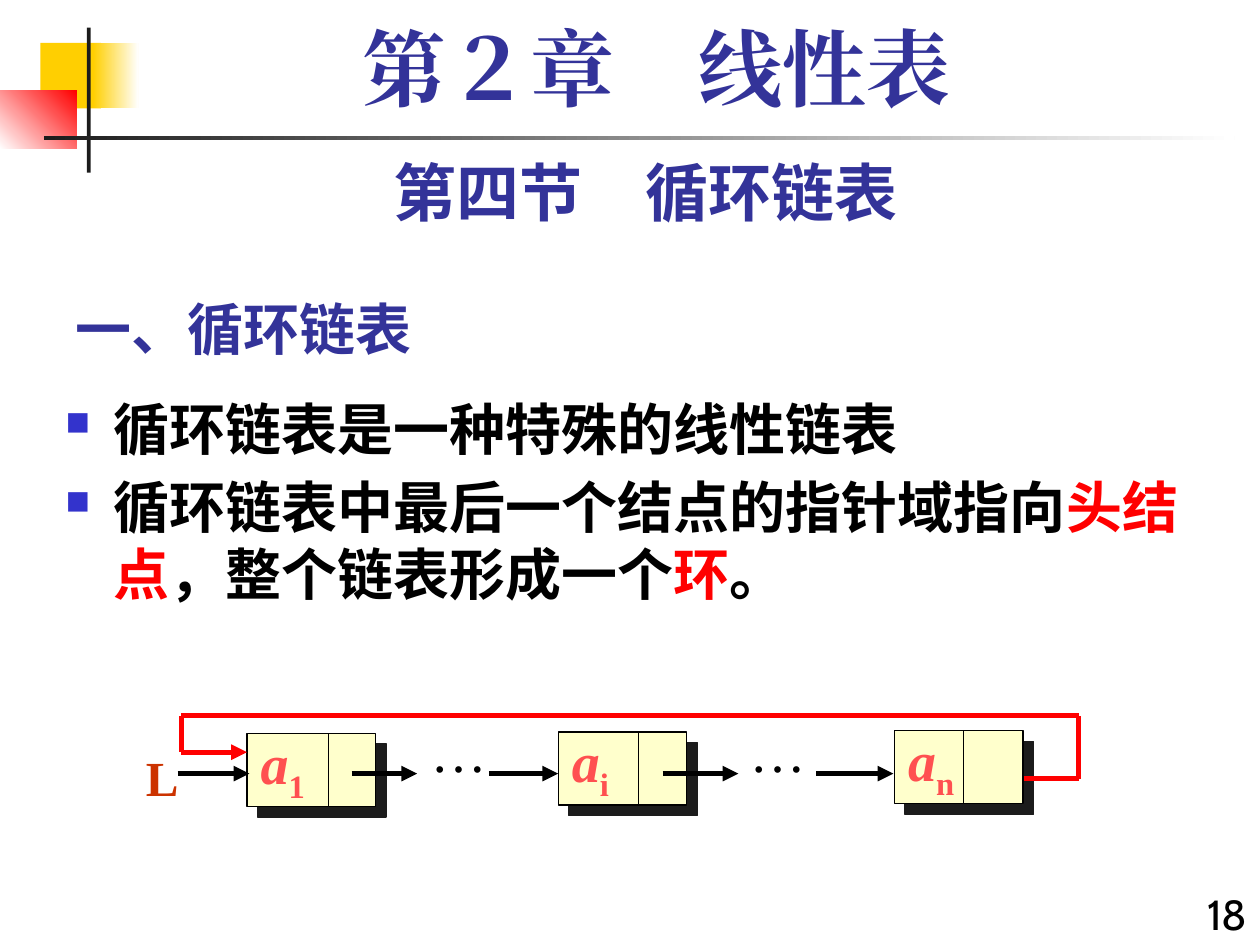
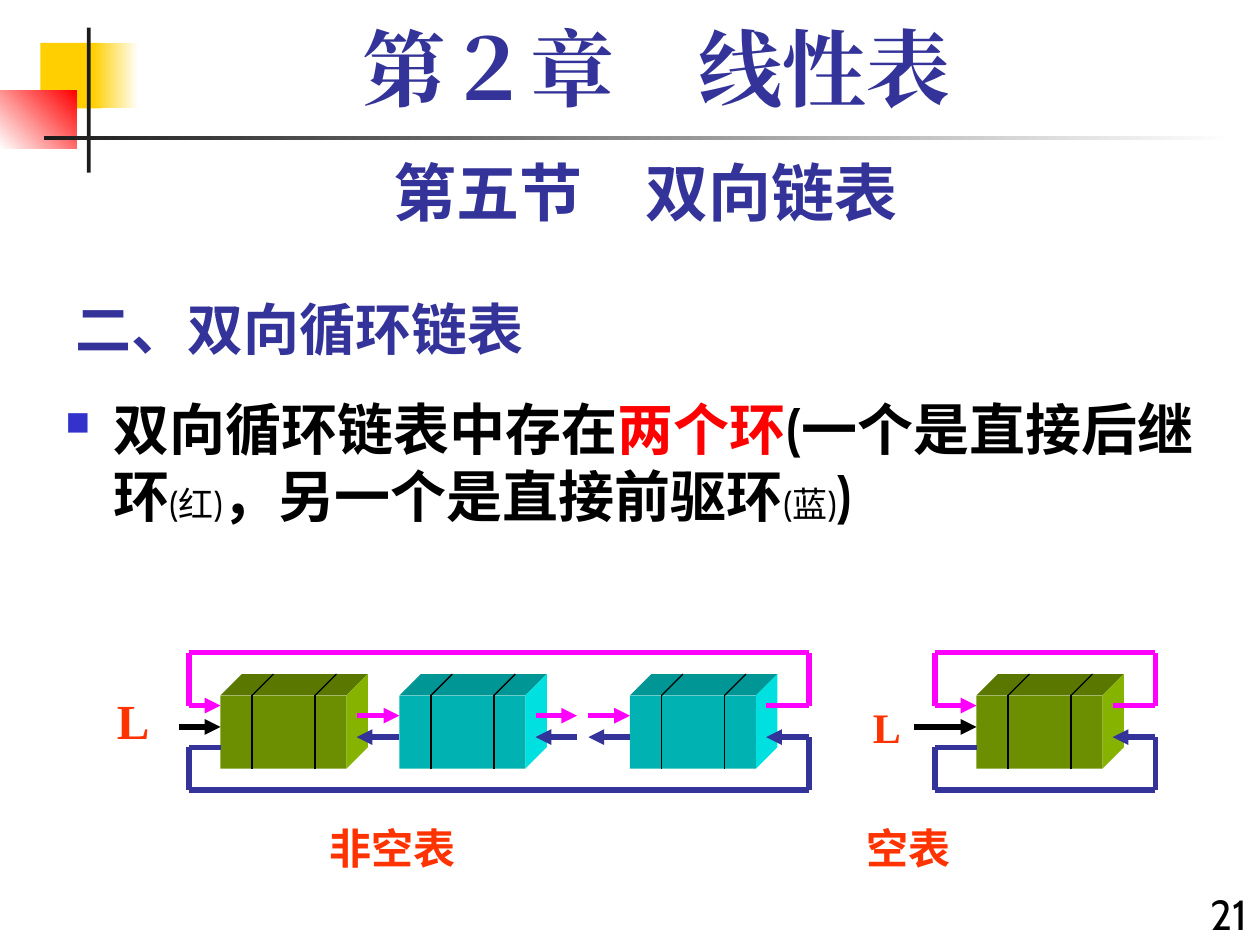
"""Build two lecture slides on circular and doubly linked lists."""
from dataclasses import dataclass
from itertools import pairwise
from typing import NamedTuple

from lxml.etree import SubElement
from pptx import Presentation
from pptx.dml.color import RGBColor
from pptx.enum.shapes import MSO_CONNECTOR as Connector, MSO_SHAPE as Shape
from pptx.enum.text import MSO_ANCHOR as Anchor, PP_ALIGN as Align
from pptx.oxml.ns import qn
from pptx.util import Inches, Pt


@dataclass(frozen=True)
class Theme:
    indigo: str = "333399"
    ink: str = "1C1C1C"
    black: str = "000000"
    white: str = "FFFFFF"
    gold: str = "FFCF01"
    red: str = "FF0000"
    bullet: str = "3333CC"
    cell: str = "FFFFCC"
    symbol: str = "FF5050"
    brick: str = "CC3300"
    orange: str = "FF3300"
    magenta: str = "FF00FF"
    sans: str = "Cabin"
    cjk: str = "Noto Sans CJK SC"
    serif: str = "Times New Roman"
    chapter: int = 48
    section: int = 36
    body: int = 32
    pointer: int = 28
    small: int = 24
    note: int = 20
    thin: float = 0.75
    thick: float = 3


THEME = Theme()


class Box(NamedTuple):
    left: float
    top: float
    width: float
    height: float


class Span(NamedTuple):
    text: str
    size: int = THEME.body
    color: str = THEME.black
    font: str = THEME.sans
    bold: bool = True
    italic: bool = False
    baseline: int = 0


class Band(NamedTuple):
    box: Box
    start: str
    end: str = ""
    angle: int = 0


class Node(NamedTuple):
    left: float
    top: float
    split: float
    index: str


class CubeColors(NamedTuple):
    front: str
    top: str
    side: str


class Cube(NamedTuple):
    left: float
    colors: CubeColors


class Ring(NamedTuple):
    left: float
    head: float
    tail: float
    right: float


Point = tuple[float, float]

BANDS = [
    Band(Box(0.32, 0.34, 0.48, 0.52), THEME.gold),
    Band(Box(0.74, 0.34, 0.36, 0.52), THEME.gold, THEME.white),
    Band(Box(0, 0.72, 0.61, 0.46), THEME.white, THEME.red, 45),
    Band(Box(0.69, 0.22, 0.03, 1.15), THEME.ink),
    Band(Box(0.35, 1.08, 9.45, 0.03), THEME.ink, THEME.white),
]
NODES = [Node(1.96, 5.82, 0.65, "1"), Node(4.43, 5.81, 0.64, "i"), Node(7.1, 5.8, 0.55, "n")]
GREEN = CubeColors("6B8F00", "5A7800", "86B300")
CYAN = CubeColors("00B3B3", "009696", "00E0E0")
CUBES = [Cube(1.75, GREEN), Cube(3.17, CYAN), Cube(5, CYAN), Cube(7.75, GREEN)]
RINGS = [Ring(1.5, 1.75, 6.08, 6.42), Ring(7.42, 7.75, 8.83, 9.17)]
CUBE_TOP, CUBE_WIDTH, CUBE_HEIGHT, DEPTH = 5.52, 1, 0.58, 0.17


def rgb(color: str) -> RGBColor:
    """Turn a hex string into a colour."""
    return RGBColor.from_string(color)


def add_spans(paragraph, spans: list[Span]) -> None:
    """Add formatted runs to a paragraph."""
    for span in spans:
        run = paragraph.add_run()
        run.text = span.text
        formats = {"size": Pt(span.size), "bold": span.bold, "italic": span.italic, "name": span.font}
        for name, value in formats.items():
            setattr(run.font, name, value)
        run.font.color.rgb = rgb(span.color)
        properties = run._r.get_or_add_rPr()
        properties.set("lang", "zh-CN")
        if span.baseline:
            properties.set("baseline", str(span.baseline))
        SubElement(properties, qn("a:ea"), typeface=span.font)


def add_text(slide, box: Box, spans: list[Span], align=Align.LEFT, wrap=True, anchor=Anchor.TOP):
    """Place a one-paragraph text box and return its frame."""
    frame = slide.shapes.add_textbox(*map(Inches, box)).text_frame
    for name, value in {"word_wrap": wrap, "vertical_anchor": anchor}.items():
        setattr(frame, name, value)
    frame.paragraphs[0].alignment = align
    add_spans(frame.paragraphs[0], spans)
    return frame


def add_bullets(slide, box: Box, items: list[list[Span]]) -> None:
    """Place a bulleted list with square marks."""
    frame = slide.shapes.add_textbox(*map(Inches, box)).text_frame
    frame.word_wrap = True
    for number, spans in enumerate(items):
        paragraph = frame.add_paragraph() if number else frame.paragraphs[0]
        if number:
            paragraph.space_before = Pt(0.2 * THEME.body)
        properties = paragraph._p.get_or_add_pPr()
        properties.set("marL", str(Inches(0.38)))
        properties.set("indent", str(-Inches(0.38)))
        SubElement(SubElement(properties, qn("a:buClr")), qn("a:srgbClr"), val=THEME.bullet)
        SubElement(properties, qn("a:buSzPct"), val="60000")
        SubElement(properties, qn("a:buChar"), char="■")
        add_spans(paragraph, spans)


def paint(shape, color: str) -> None:
    """Give a shape a flat fill without line or shadow."""
    shape.shadow.inherit = False
    shape.fill.solid()
    shape.fill.fore_color.rgb = rgb(color)
    shape.line.fill.background()


def add_rect(slide, box: Box, color: str):
    """Draw a flat rectangle."""
    rect = slide.shapes.add_shape(Shape.RECTANGLE, *map(Inches, box))
    paint(rect, color)
    return rect


def add_band(slide, band: Band) -> None:
    """Draw one header band, flat or fading."""
    rect = add_rect(slide, band.box, band.start)
    if band.end:
        rect.fill.gradient()
        rect.fill.gradient_angle = band.angle
        for stop, color in zip(rect.fill.gradient_stops, (band.start, band.end)):
            stop.color.rgb = rgb(color)


def add_route(slide, points: list[Point], color=THEME.black, width=THEME.thick, arrow=True) -> None:
    """Link points with straight lines, with an arrowhead at the last."""
    for start, end in pairwise(points):
        link = slide.shapes.add_connector(Connector.STRAIGHT, *map(Inches, start + end))
        link.line.color.rgb = rgb(color)
        link.line.width = Pt(width)
        if arrow and end == points[-1]:
            SubElement(link.line._get_or_add_ln(), qn("a:tailEnd"), type="triangle")
        SubElement(link._element.spPr, qn("a:effectLst"))


def add_face(slide, corners: list[Point], color: str) -> None:
    """Draw one slanted cube face."""
    points = [tuple(map(Inches, corner)) for corner in corners]
    builder = slide.shapes.build_freeform(*points[0])
    builder.add_line_segments(points[1:])
    paint(builder.convert_to_shape(), color)


def add_node(slide, node: Node) -> None:
    """Draw a list node with its data and pointer fields."""
    rect = add_rect(slide, Box(node.left, node.top, 1.02, 0.58), THEME.cell)
    rect.line.color.rgb = rgb(THEME.black)
    rect.line.width = Pt(THEME.thin)
    effects = rect._element.spPr.find(qn("a:effectLst"))
    shadow = SubElement(effects, qn("a:outerShdw"), dist=str(Pt(8.5)), dir="2700000", algn="ctr", rotWithShape="0")
    SubElement(shadow, qn("a:srgbClr"), val=THEME.ink)
    split = node.left + node.split
    add_route(slide, [(split, node.top), (split, node.top + 0.58)], width=THEME.thin, arrow=False)
    label = Span("a", color=THEME.symbol, font=THEME.serif, italic=True)
    index = label._replace(text=node.index, italic=False, baseline=-25000)
    add_text(slide, Box(node.left + 0.01, node.top - 0.09, 0.57, 0.63), [label, index], wrap=False)


def add_cube(slide, cube: Cube) -> None:
    """Draw a three-field node as a solid block."""
    left, right = cube.left, cube.left + CUBE_WIDTH
    top, bottom, back = CUBE_TOP, CUBE_TOP + CUBE_HEIGHT, CUBE_TOP - DEPTH
    add_face(slide, [(left, top), (left + DEPTH, back), (right + DEPTH, back), (right, top)], cube.colors.top)
    add_face(slide, [(right, top), (right + DEPTH, back), (right + DEPTH, bottom - DEPTH), (right, bottom)],
             cube.colors.side)
    add_rect(slide, Box(left, top, CUBE_WIDTH, CUBE_HEIGHT), cube.colors.front)
    for split in (left + 0.25, left + 0.75):
        add_route(slide, [(split, bottom), (split, top), (split + DEPTH, back)], width=THEME.thin, arrow=False)


def add_ring(slide, ring: Ring) -> None:
    """Draw the successor ring above and the predecessor ring below."""
    left, head, tail, right = ring
    add_route(slide, [(head, 5.93), (left, 5.93), (left, 6.27), (right, 6.27), (right, 5.85), (tail, 5.85)],
              THEME.indigo)
    add_route(slide, [(tail, 5.6), (right, 5.6), (right, 5.18), (left, 5.18), (left, 5.6), (head, 5.6)],
              THEME.magenta)


def add_pointer(slide, left: float, top: float, size: int, color: str) -> None:
    """Write the head pointer's name."""
    add_text(slide, Box(left, top, 0.44, 0.55), [Span("L", size, color, THEME.serif)], wrap=False)


def start_slide(deck, section: str, heading: str, number: str):
    """Add a slide with the shared bands, titles and page number."""
    slide = deck.slides.add_slide(deck.slide_layouts[6])
    for band in BANDS:
        add_band(slide, band)
    add_text(slide, Box(0.5, 2.17, 6.25, 0.75), [Span(heading, color=THEME.indigo, font=THEME.cjk)],
             anchor=Anchor.BOTTOM)
    add_text(slide, Box(9.33, 7, 0.67, 0.5), [Span(number, THEME.small, bold=False)], Align.RIGHT)
    add_text(slide, Box(0.5, 1.17, 9.25, 0.7), [Span(section, THEME.section, THEME.indigo)], Align.CENTER)
    chapter = add_text(slide, Box(0.67, 0.17, 9.08, 0.83),
                       [Span("第２章　线性表", THEME.chapter, THEME.indigo, THEME.serif)], Align.CENTER)
    chapter.paragraphs[0].line_spacing = 0.9
    return slide


def build_circular(deck) -> None:
    """Build the slide on circular linked lists."""
    slide = start_slide(deck, "第四节　循环链表", "一、循环链表", "18")
    add_bullets(slide, Box(0.42, 3.08, 9.27, 4.25), [
        [Span("循环链表是一种特殊的线性链表")],
        [Span("循环链表中最后一个结点的指针域指向"), Span("头结点", color=THEME.red),
         Span("，整个链表形成一个"), Span("环", color=THEME.red), Span("。")],
    ])
    for node in NODES:
        add_node(slide, node)
    for start, end in [(1.41, 1.98), (2.79, 3.31), (3.88, 4.43), (5.26, 5.86), (6.48, 7.09)]:
        add_route(slide, [(start, 6.14), (end, 6.14)])
    add_pointer(slide, 1.06, 5.88, THEME.pointer, THEME.brick)
    for left in (3.32, 5.85):
        add_text(slide, Box(left, 5.64, 0.55, 0.63), [Span("…", font=THEME.serif, bold=False)])
    add_route(slide, [(8.13, 6.18), (8.56, 6.18), (8.56, 5.68), (1.44, 5.68), (1.44, 5.97), (1.96, 5.97)], THEME.red)


def build_doubly(deck) -> None:
    """Build the slide on doubly linked circular lists."""
    slide = start_slide(deck, "第五节　双向链表", "二、双向循环链表", "21")
    add_bullets(slide, Box(0.42, 3.08, 9.58, 1.17), [[
        Span("双向循环链表中存在"), Span("两个环", color=THEME.red), Span("(一个是直接后继环"),
        Span("(红)", THEME.note, bold=False), Span("，另一个是直接前驱环"),
        Span("(蓝)", THEME.note, bold=False), Span(")"),
    ]])
    for cube in CUBES:
        add_cube(slide, cube)
    for start, end in [(1.42, 1.75), (7.25, 7.75)]:
        add_route(slide, [(start, 5.77), (end, 5.77)])
    for start, end in [(2.83, 3.17), (4.25, 4.58), (4.67, 5)]:
        add_route(slide, [(end, 5.85), (start, 5.85)], THEME.indigo)
        add_route(slide, [(start, 5.68), (end, 5.68)], THEME.magenta)
    for ring in RINGS:
        add_ring(slide, ring)
    add_pointer(slide, 0.83, 5.43, THEME.pointer, THEME.orange)
    add_pointer(slide, 6.83, 5.52, THEME.small, THEME.orange)
    for left, caption in [(2.52, "非空表"), (6.78, "空表")]:
        width = len(caption) * THEME.small / 72 + 0.2
        add_text(slide, Box(left, 6.48, width, 0.53), [Span(caption, THEME.small, THEME.orange, THEME.cjk)], wrap=False)


def main() -> None:
    """Build and save the deck."""
    deck = Presentation()
    deck.slide_width, deck.slide_height = Inches(10), Inches(7.5)
    build_circular(deck)
    build_doubly(deck)
    deck.save("out.pptx")


if __name__ == "__main__":
    main()
